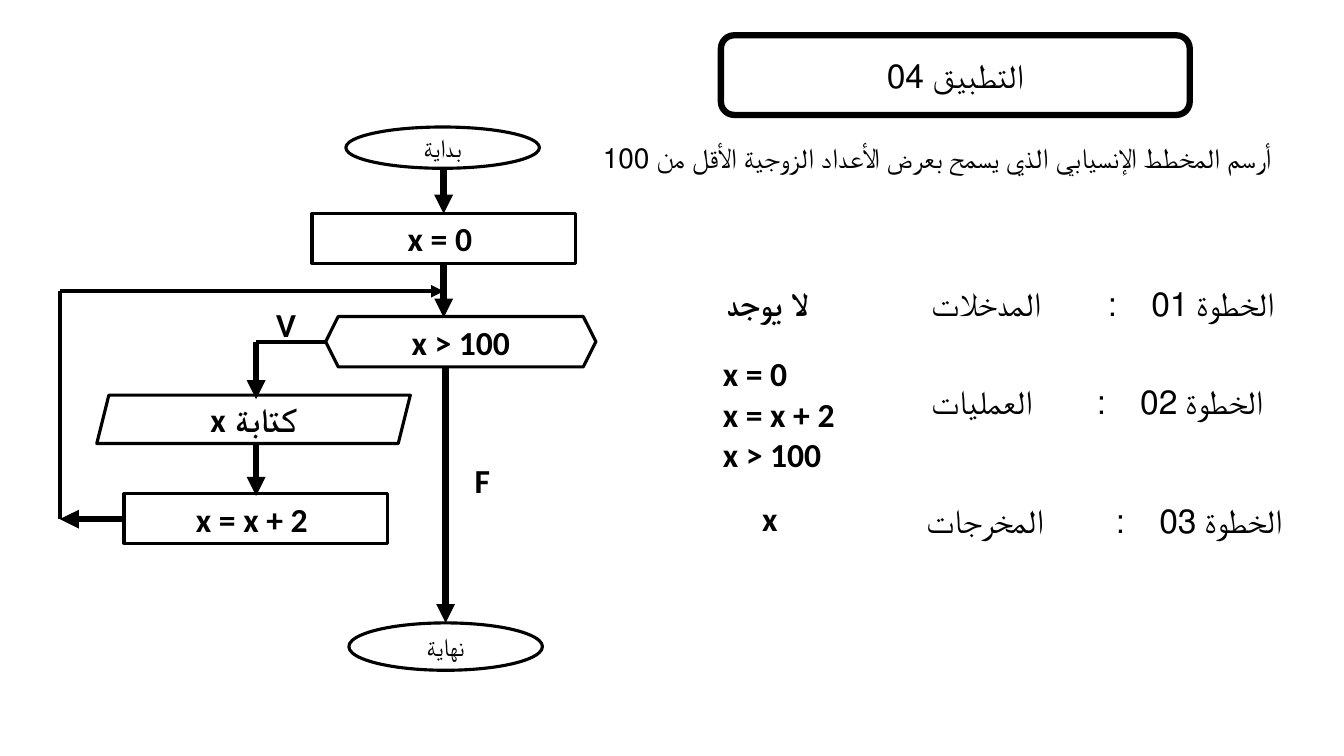
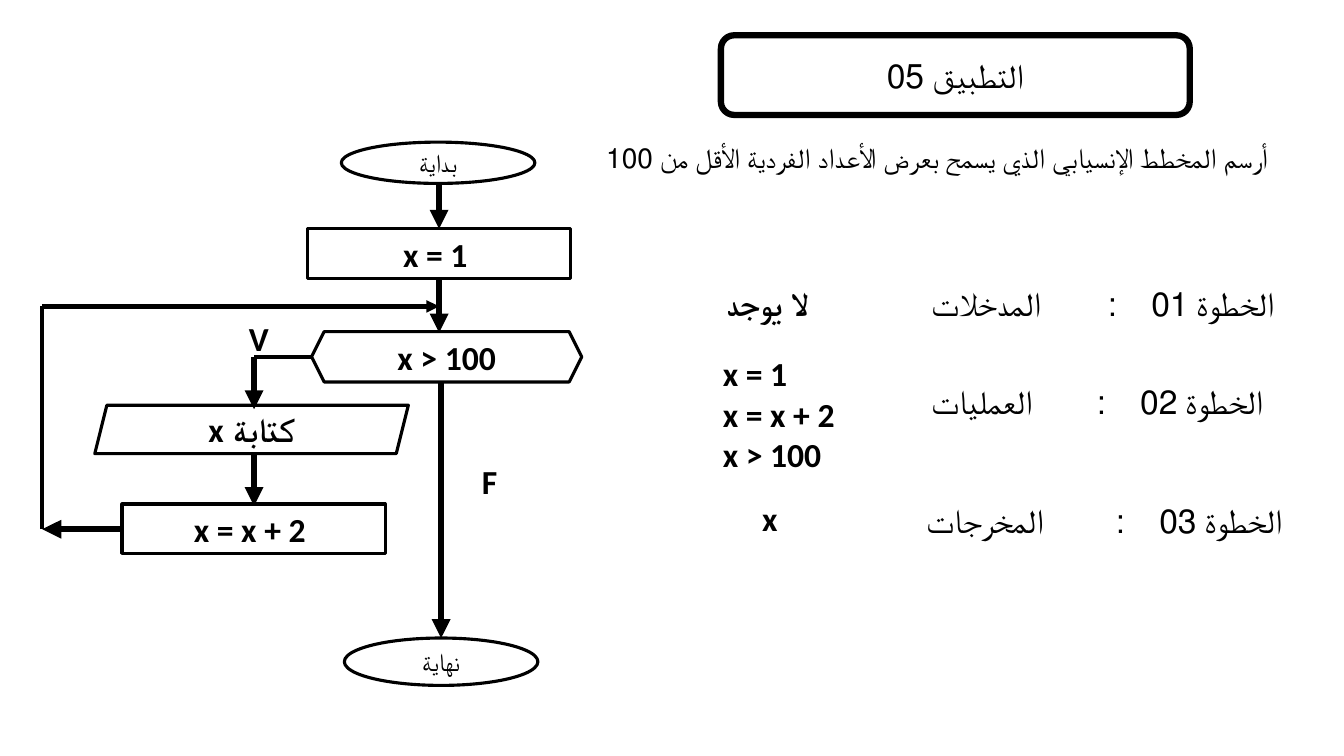
from lxml import etree
from pptx import Presentation
from pptx.dml.color import RGBColor
from pptx.enum import shapes, text
from pptx.oxml.ns import qn
from pptx import util as u

COLORS = {"ink": "000000", "paper": "FFFFFF"}
CELL = 0.1
FORMATS = {
    "title": {"name": "Arial", "size": u.Pt(24), "bold": False},
    "task": {"name": "Arial", "size": u.Pt(20), "bold": False},
    "terminal": {"name": "Arial", "size": u.Pt(18), "bold": False},
    "answer": {"name": "Arial", "size": u.Pt(24), "bold": True},
    "code": {"name": "Calibri", "size": u.Pt(24), "bold": True},
}
LEFT, CENTER, RIGHT = text.PP_ALIGN.LEFT, text.PP_ALIGN.CENTER, text.PP_ALIGN.RIGHT
KIND = shapes.MSO_SHAPE
STEPS = [
    ("الخطوة 01", "المدخلات", 91.4, 108.9, 27.6),
    ("الخطوة 02", "العمليات", 91.4, 107.8, 37.3),
    ("الخطوة 03", "المخرجات", 90.9, 109.7, 49.1),
]
EXERCISES = [
    {"title": "التطبيق 04", "parity": "الزوجية", "start": "x = 0",
     "axis": 44, "top": 12.6, "test_x": 32.3, "loop": 25.4, "loop_y": 39.2,
     "back": 5.95, "yes": (26.4, 29.7), "no": (46.1, 45.1)},
    {"title": "التطبيق 05", "parity": "الفردية", "start": "x = 1",
     "axis": 43.55, "top": 14.1, "test_x": 30.9, "loop": 25.2, "loop_y": 40.2,
     "back": 4.2, "yes": (23.7, 31), "no": (46.8, 45.2)},
]


def color(name):
    """Return a named palette colour."""
    return RGBColor.from_string(COLORS[name])


def cells(*values):
    """Convert grid cells to slide lengths."""
    return [u.Inches(v * CELL) for v in values]


class Deck:
    """Hold the style and the current slide."""

    def __init__(self):
        """Start a presentation of the chosen size."""
        self.prs = Presentation()
        self.prs.slide_width, self.prs.slide_height = u.Inches(13.33), u.Inches(7.5)

    def new_slide(self):
        """Add a blank slide and draw on it."""
        self.slide = self.prs.slides.add_slide(self.prs.slide_layouts[6])
        self.target = self.slide.shapes

    def new_group(self):
        """Draw what follows into one group."""
        self.target = self.slide.shapes.add_group_shape().shapes

    def set_text(self, sp, words, style, align, rtl=False, spacing=None):
        """Put one formatted paragraph into a shape."""
        tf = sp.text_frame
        tf.word_wrap = True
        p = tf.paragraphs[0]
        p.alignment = align
        if spacing:
            p.line_spacing = spacing
        if rtl:
            p._p.get_or_add_pPr().set("rtl", "1")
        r = p.add_run()
        r.text = words
        for key, value in FORMATS[style].items():
            setattr(r.font, key, value)
        r.font.color.rgb = color("ink")

    def label(self, words, box, style="code", align=LEFT, **options):
        """Add a text box."""
        sp = self.target.add_textbox(*cells(*box))
        self.set_text(sp, words, style, align, **options)
        sp.text_frame.auto_size = text.MSO_AUTO_SIZE.SHAPE_TO_FIT_TEXT

    def node(self, kind, words, box, style="code", weight=2.25, fill="paper", rtl=False):
        """Add an outlined shape with centred text."""
        sp = self.target.add_shape(kind, *cells(*box))
        sp.shadow.inherit = False
        if fill:
            sp.fill.solid()
            sp.fill.fore_color.rgb = color(fill)
        else:
            sp.fill.background()
        sp.line.color.rgb = color("ink")
        sp.line.width = u.Pt(weight)
        sp.text_frame.vertical_anchor = text.MSO_ANCHOR.MIDDLE
        self.set_text(sp, words, style, CENTER, rtl)

    def line(self, start, end, weight=4.5, arrow=True):
        """Add a straight line, with an arrowhead if wanted."""
        sp = self.target.add_connector(shapes.MSO_CONNECTOR.STRAIGHT, *cells(*start, *end))
        sp.line.color.rgb = color("ink")
        sp.line.width = u.Pt(weight)
        if arrow:
            etree.SubElement(sp.line._get_or_add_ln(), qn("a:tailEnd"), type="triangle")
        etree.SubElement(sp._element.spPr, qn("a:effectLst"))

    def exercise(self, title, parity, start):
        """Add the title, the task and the three steps."""
        for name, topic, x, colon_x, y in STEPS:
            self.label(name, (colon_x + 4.3, y, 17.5, 5), "title")
            self.label(":", (colon_x, y, 4, 5), "title")
            self.label(topic, (x, y, 17, 5), "title")
        self.node(KIND.ROUNDED_RECTANGLE, title, (71.5, 3.5, 46.5, 7.9), "title", 4.5, None)
        task = f"أرسم المخطط الإنسيابي الذي يسمح بعرض الأعداد {parity} الأقل من 100"
        self.label(task, (53.9, 11.8, 78.1, 10.6), "task", CENTER, rtl=True, spacing=1.5)
        self.label("لا يوجد", (60.3, 27.6, 20.8, 5), "answer", RIGHT, rtl=True)
        for row, words in enumerate((start, "x = x + 2", "x > 100")):
            self.label(words, (70.7, 34.5 + 4.05 * row, 16.5, 5))
        self.label("x", (68.9, 48.9, 9.2, 5), align=RIGHT, rtl=True)

    def flowchart(self, start, axis, top, test_x, loop, loop_y, back, yes, no):
        """Add the loop flowchart as one group."""
        self.new_group()
        test_y, join_y, back_y = top + 21.3, top + 16.3, loop_y + 12.3
        exit_x, box_x = axis + 0.2, loop - 13.1
        self.node(KIND.OVAL, "بداية", (axis - 9.7, top, 19.2, 4.1), "terminal")
        self.node(KIND.OVAL, "نهاية", (axis - 9.4, top + 49.2, 19.2, 4.7), "terminal")
        self.node(KIND.RECTANGLE, start + " ", (axis - 13.05, top + 8.6, 26.1, 4.9))
        self.node(KIND.HEXAGON, "x > 100", (test_x, top + 18.8, 26.8, 5))
        self.node(KIND.PARALLELOGRAM, "كتابة x", (loop - 15.8, loop_y, 31.1, 4.8), rtl=True)
        self.node(KIND.RECTANGLE, "x = x + 2 ", (box_x, loop_y + 9.8, 26.1, 4.9))
        for x1, y1, x2, y2 in (
            (axis, top + 4.1, axis, top + 8.6),
            (axis, top + 13.6, axis, top + 18.9),
            (exit_x, top + 23.8, exit_x, top + 49.2),
            (loop, test_y, loop, loop_y + 0.4),
            (loop, loop_y + 4.7, loop, loop_y + 10),
            (box_x, back_y, back, back_y),
        ):
            self.line((x1, y1), (x2, y2))
        self.line((test_x, test_y), (loop, test_y), 3, False)
        self.line((back, back_y), (back, join_y), 3, False)
        self.line((back, join_y), (axis, join_y), 3)
        self.label("V", (*yes, 3.9, 4))
        self.label("F", (*no, 3.9, 5))


def main():
    """Build and save the exercises."""
    deck = Deck()
    for item in EXERCISES:
        plan = dict(item)
        deck.new_slide()
        deck.exercise(plan.pop("title"), plan.pop("parity"), plan["start"])
        deck.flowchart(**plan)
    deck.prs.save("out.pptx")


if __name__ == "__main__":
    main()
